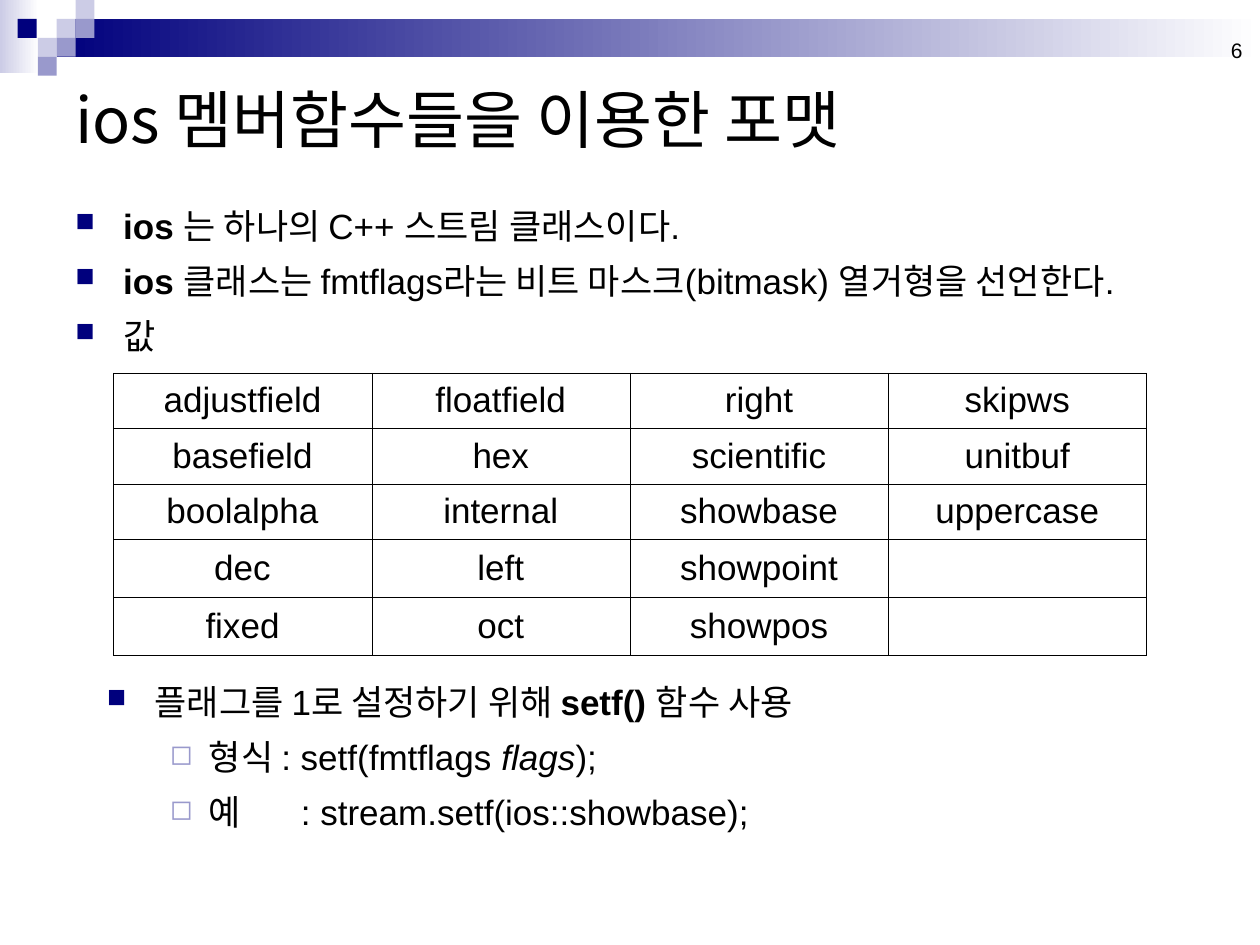
from lxml import etree
from pptx import Presentation
from pptx.dml.color import RGBColor
from pptx.enum.shapes import MSO_SHAPE
from pptx.enum.text import MSO_ANCHOR, PP_ALIGN
from pptx.oxml.ns import qn
from pptx.util import Inches, Pt

RECTANGLE = MSO_SHAPE.RECTANGLE
MIDDLE, BOTTOM, TOP = MSO_ANCHOR.MIDDLE, MSO_ANCHOR.BOTTOM, MSO_ANCHOR.TOP
LEFT, CENTER, RIGHT = PP_ALIGN.LEFT, PP_ALIGN.CENTER, PP_ALIGN.RIGHT

LATIN, KOREAN = "Arial", "Noto Sans CJK KR"
BLACK, WHITE = "000000", "FFFFFF"
NAVY, LILAC, PALE = "00007D", "9999CC", "CCCCE6"

BANDS = [(0, 0, 0.31, 0.58, PALE), (0.45, 0.15, 9.55, 0.3, NAVY)]
SQUARE = 0.15
SQUARES = [
    (0.45, 0.15, PALE), (0.6, 0, PALE), (0.6, 0.15, LILAC), (0.3, 0.3, PALE),
    (0.14, 0.15, NAVY), (0.45, 0.3, LILAC), (0.3, 0.45, LILAC),
]

TITLE = "ios 멤버함수들을 이용한 포맷"
PAGE_NUMBER = "6"
INTRO = [
    (0, [("ios ", "b"), ("는 하나의 C++ 스트림 클래스이다.", "")]),
    (0, [("ios ", "b"), ("클래스는 fmtflags라는 비트 마스크(bitmask) 열거형을 선언한다.", "")]),
    (0, [("값", "")]),
]
USAGE = [
    (0, [("플래그를 1로 설정하기 위해 ", ""), ("setf() ", "b"), ("함수 사용", "")]),
    (1, [("형식 : setf(fmtflags ", ""), ("flags", "i"), (");", "")]),
    (1, [("예\t: stream.setf(ios::showbase);", "")]),
]
FLAGS = [
    ["adjustfield", "floatfield", "right", "skipws"],
    ["basefield", "hex", "scientific", "unitbuf"],
    ["boolalpha", "internal", "showbase", "uppercase"],
    ["dec", "left", "showpoint", ""],
    ["fixed", "oct", "showpos", ""],
]
ROW_HEIGHTS = [0.44, 0.44, 0.44, 0.46, 0.46]
COLUMN_WIDTH = 2.05
LEVELS = [
    dict(margin=0.38, hanging=0.38, mark="■", color=NAVY, size=75),
    dict(margin=0.81, hanging=0.31, mark="◻", color=LILAC, size=80),
]
COLON_TAB = 1.54


def rgb(value):
    return RGBColor.from_string(value)


def add_child(parent, tag, **attributes):
    values = {name: str(value) for name, value in attributes.items()}
    return etree.SubElement(parent, qn(tag), values)


def add_rectangle(page, left, top, width, height):
    box = page.shapes.add_shape(RECTANGLE, *map(Inches, (left, top, width, height)))
    box.shadow.inherit = False
    box.line.fill.background()
    return box


def add_band(page, left, top, width, height, color):
    fill = add_rectangle(page, left, top, width, height).fill
    fill.gradient()
    fill.gradient_angle = 0
    for stop, position, shade in zip(fill.gradient_stops, (0, 1), (color, WHITE)):
        stop.position = position
        stop.color.rgb = rgb(shade)


def add_square(page, left, top, color):
    fill = add_rectangle(page, left, top, SQUARE, SQUARE).fill
    fill.solid()
    fill.fore_color.rgb = rgb(color)


def add_span(para, text, size, style="", font=LATIN):
    span = para.add_run()
    span.text = text
    span.font.size = Pt(size)
    span.font.name = font
    span.font.bold = "b" in style
    span.font.italic = "i" in style
    span.font.color.rgb = rgb(BLACK)
    add_child(span.font._element, "a:ea", typeface=KOREAN)


def add_box(page, left, top, width, height, anchor=TOP):
    box = page.shapes.add_textbox(*map(Inches, (left, top, width, height)))
    box.text_frame.word_wrap = True
    box.text_frame.vertical_anchor = anchor
    return box.text_frame


def add_line(page, place, anchor, text, size, font, align, spacing):
    para = add_box(page, *place, anchor).paragraphs[0]
    para.alignment = align
    para.line_spacing = spacing
    add_span(para, text, size, font=font)


def add_bullets(page, place, items):
    frame = add_box(page, *place)
    for index, (depth, spans) in enumerate(items):
        para = frame.add_paragraph() if index else frame.paragraphs[0]
        level = LEVELS[depth]
        para.level = depth
        para.line_spacing = 1.1
        if index:
            para.space_before = Pt(5)
        props = para._p.get_or_add_pPr()
        props.set("marL", str(Inches(level["margin"])))
        props.set("indent", str(-Inches(level["hanging"])))
        add_child(add_child(props, "a:buClr"), "a:srgbClr", val=level["color"])
        add_child(props, "a:buSzPct", val=level["size"] * 1000)
        add_child(props, "a:buChar", char=level["mark"])
        if any("\t" in text for text, _ in spans):
            tabs = add_child(props, "a:tabLst")
            add_child(tabs, "a:tab", pos=Inches(COLON_TAB), algn="l")
        for text, style in spans:
            add_span(para, text, 20, style)


def add_borders(cell):
    props = cell._tc.get_or_add_tcPr()
    for index, side in enumerate(("a:lnL", "a:lnR", "a:lnT", "a:lnB")):
        line = etree.Element(qn(side), w=str(Pt(0.06)))
        add_child(add_child(line, "a:solidFill"), "a:srgbClr", val=BLACK)
        props.insert(index, line)


def add_flag_table(page, left, top):
    columns = len(FLAGS[0])
    size = (columns * COLUMN_WIDTH, sum(ROW_HEIGHTS))
    table = page.shapes.add_table(
        len(FLAGS), columns, *map(Inches, (left, top, *size))).table
    table.first_row = table.horz_banding = False
    for column in table.columns:
        column.width = Inches(COLUMN_WIDTH)
    for row, height, names in zip(table.rows, ROW_HEIGHTS, FLAGS):
        row.height = Inches(height)
        for cell, name in zip(row.cells, names):
            cell.fill.background()
            cell.vertical_anchor = MIDDLE
            add_borders(cell)
            para = cell.text_frame.paragraphs[0]
            para.alignment = CENTER
            if name:
                add_span(para, name, 20)


def main():
    """Build the slide on the ios format flags."""
    deck = Presentation()
    deck.slide_width, deck.slide_height = Inches(10), Inches(7.5)
    page = deck.slides.add_slide(deck.slide_layouts[6])
    for band in BANDS:
        add_band(page, *band)
    for square in SQUARES:
        add_square(page, *square)
    add_line(page, (7.63, 0.05, 2.33, 0.5), BOTTOM, PAGE_NUMBER, 12, LATIN, RIGHT, 1)
    add_line(page, (0.5, 0.5, 9, 0.81), MIDDLE, TITLE, 36, KOREAN, LEFT, 1.1)
    add_bullets(page, (0.5, 1.54, 9, 1.5), INTRO)
    add_flag_table(page, 0.9, 2.96)
    add_bullets(page, (0.75, 5.32, 9, 1.57), USAGE)
    deck.save("out.pptx")


if __name__ == "__main__":
    main()
